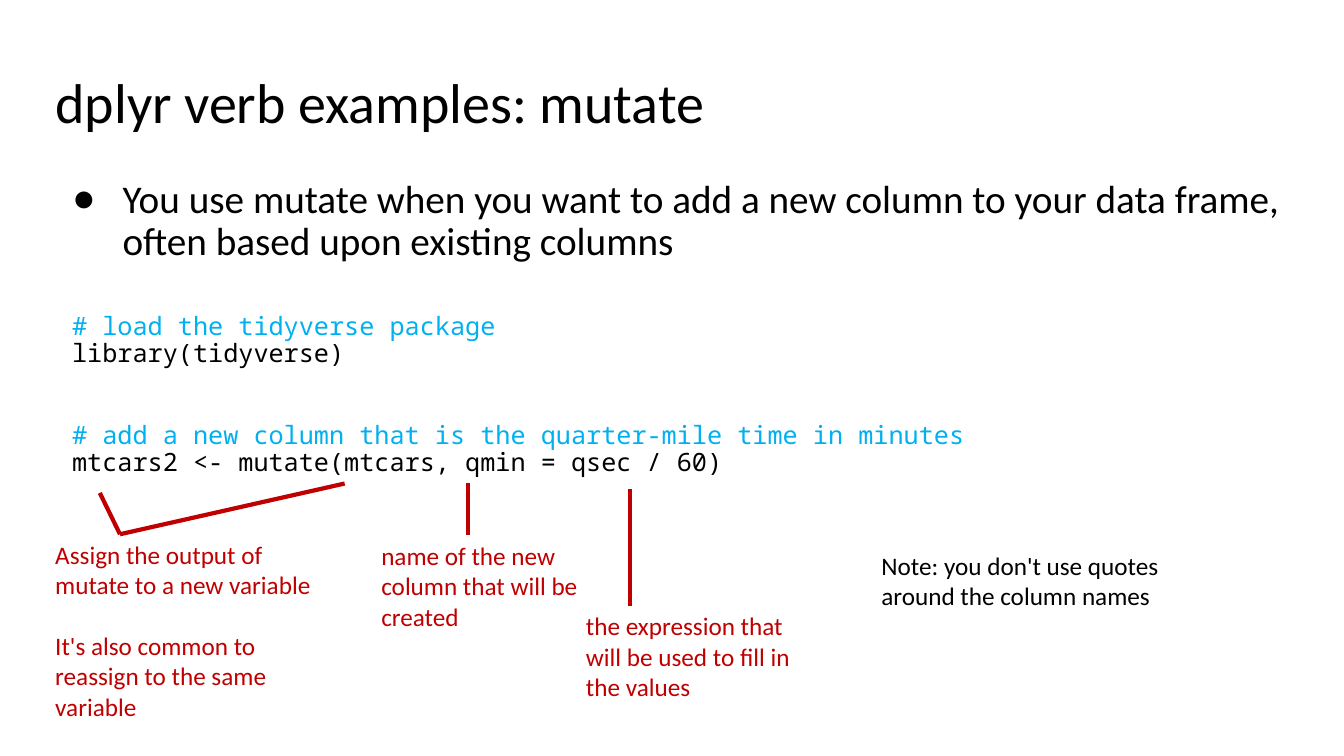
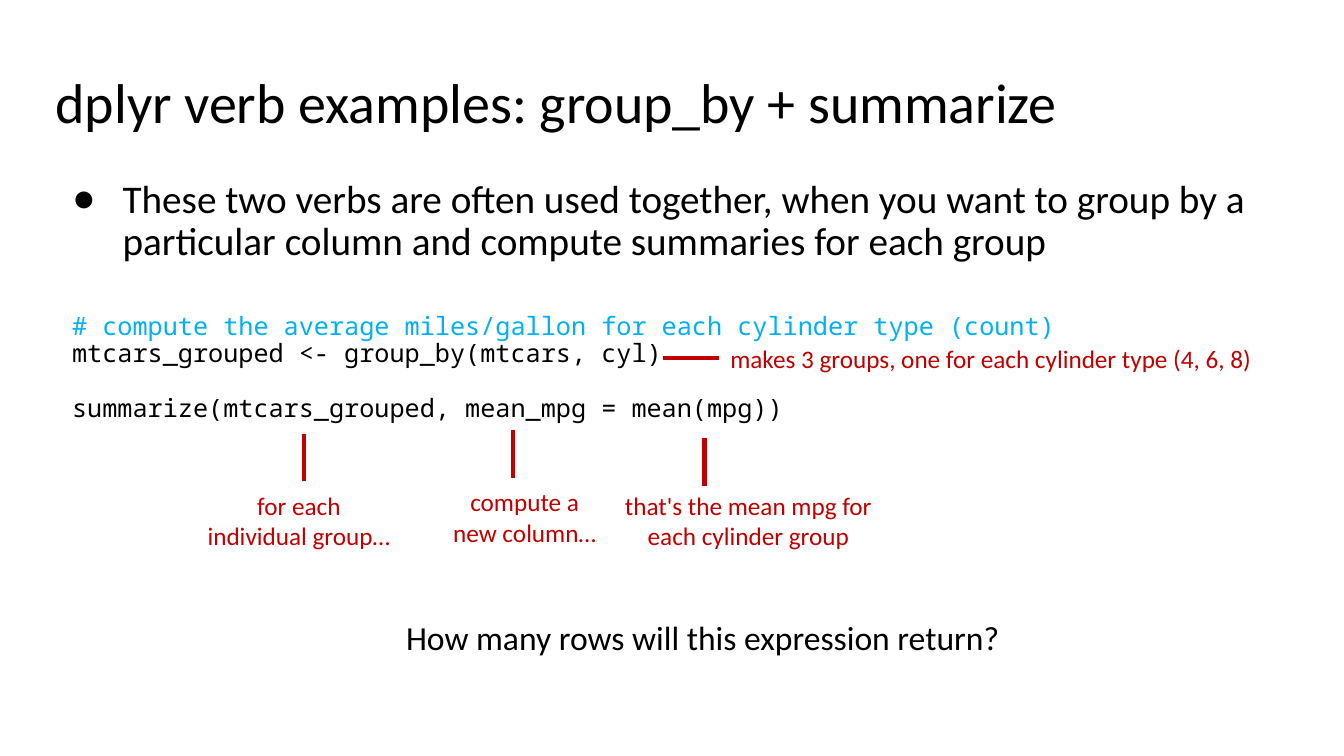
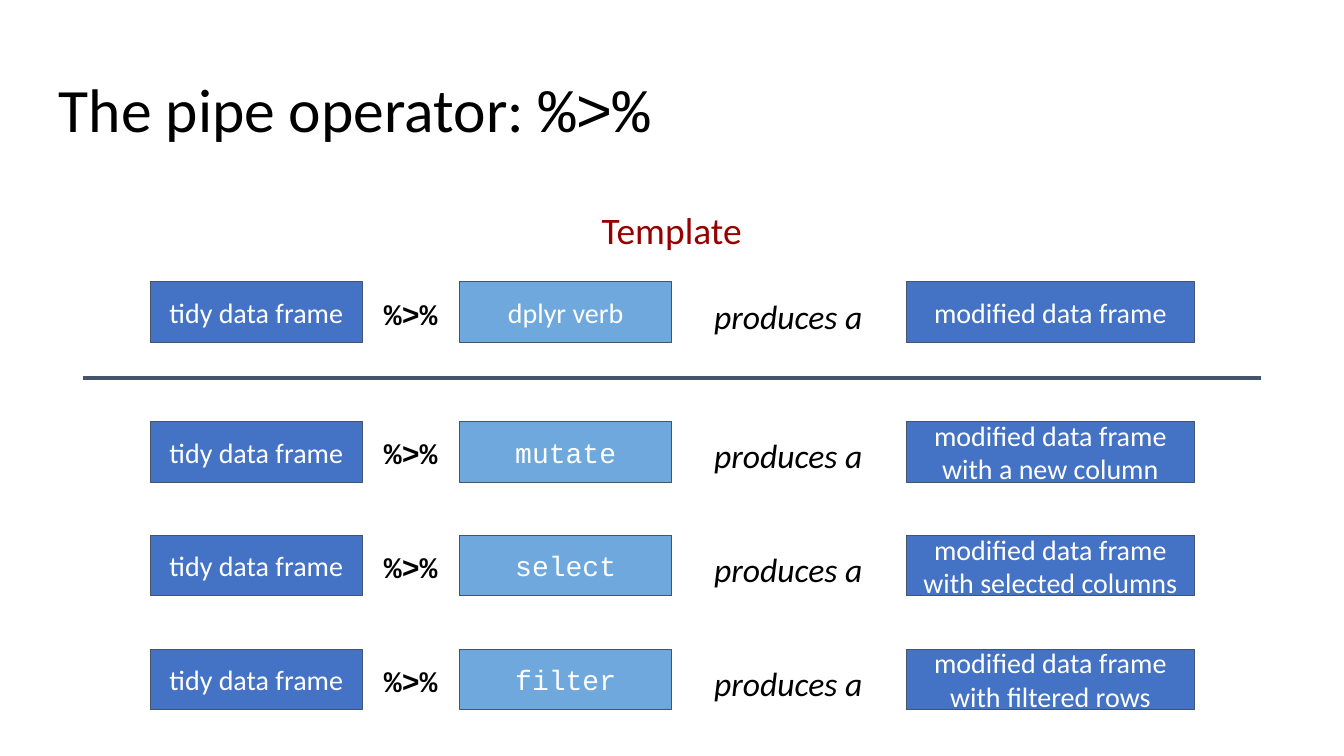
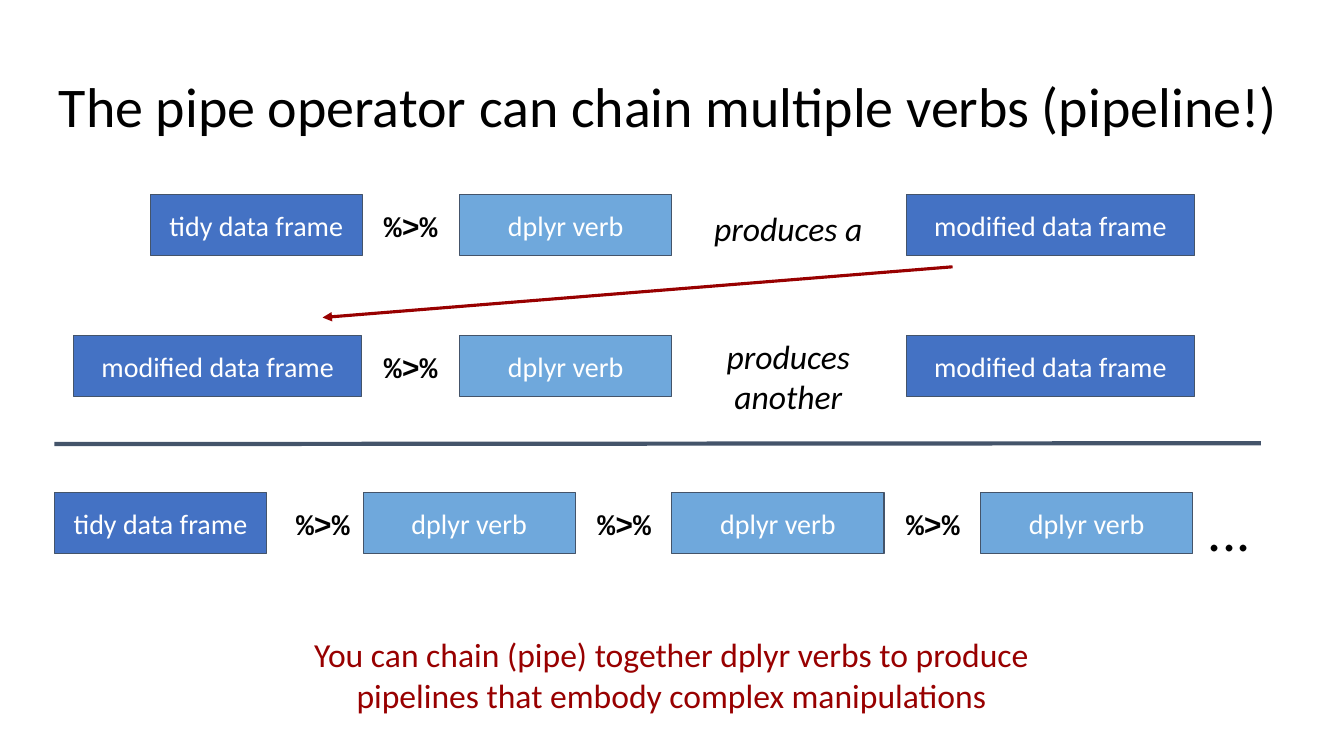
"""Build four slides on dplyr verbs and the pipe operator."""
from dataclasses import dataclass, replace

from lxml import etree
from pptx import Presentation
from pptx.dml.color import RGBColor
from pptx.enum.shapes import MSO_CONNECTOR, MSO_SHAPE
from pptx.enum.text import MSO_ANCHOR, MSO_AUTO_SIZE, PP_ALIGN
from pptx.oxml.ns import qn
from pptx.util import Pt

BLACK = RGBColor(0x00, 0x00, 0x00)
WHITE = RGBColor(0xFF, 0xFF, 0xFF)
CODE_BLUE = RGBColor(0x00, 0xB0, 0xF0)
CALLOUT_RED = RGBColor(0xC0, 0x00, 0x00)
DARK_RED = RGBColor(0x98, 0x00, 0x00)
FRAME_BLUE = RGBColor(0x44, 0x72, 0xC4)
VERB_BLUE = RGBColor(0x6F, 0xA8, 0xDC)
SLATE = RGBColor(0x44, 0x54, 0x6A)

LEFT, CENTER = PP_ALIGN.LEFT, PP_ALIGN.CENTER
TOP, MIDDLE = MSO_ANCHOR.TOP, MSO_ANCHOR.MIDDLE
NO_FIT, GROW = MSO_AUTO_SIZE.NONE, MSO_AUTO_SIZE.SHAPE_TO_FIT_TEXT
STRAIGHT, RECTANGLE = MSO_CONNECTOR.STRAIGHT, MSO_SHAPE.RECTANGLE

SANS, COURIER, CODE_FONT = "Calibri", "Courier New", "Noto Sans Mono"
TITLE_AND_BODY, TITLE_ONLY = 1, 5
MARGIN, CONTENT_WIDTH = 32.4, 894.3
INSET, WIDE_INSET = 7.2, 9.6
CODE_LINE = 19.5
PIPE = "%>%"

BOX_HEIGHT = 43.4
TIDY_LEFT, SHORT_WIDTH = 107.3, 151.6
PIPE_LEFT, PIPE_WIDTH = 258.5, 69.8
VERB_LEFT = 328.3
PRODUCES_LEFT, PRODUCES_WIDTH = 499.7, 126.7
RESULT_LEFT, RESULT_WIDTH = 647.3, 206


@dataclass(frozen=True)
class Area:
    """A rectangle in points."""
    left: float
    top: float
    width: float
    height: float


@dataclass(frozen=True)
class Style:
    """The look of a piece of text."""
    size: float
    color: RGBColor = BLACK
    font: str = SANS
    align: PP_ALIGN = LEFT
    bold: bool = False
    italic: bool = False
    line_spacing: float = 1.0
    space_before: float = 0


@dataclass(frozen=True)
class Callout:
    """A short remark that grows with its text."""
    text: str
    area: Area
    style: Style


@dataclass(frozen=True)
class Line:
    """A straight line between two points."""
    start: tuple[float, float]
    end: tuple[float, float]
    color: RGBColor = CALLOUT_RED
    width: float = 3
    arrow: bool = False


@dataclass(frozen=True)
class CodeLine:
    """A line of code and the number of empty lines above it."""
    text: str
    gap: int = 0


@dataclass(frozen=True)
class PipeRow:
    """One piped expression and its result."""
    top: float
    verb: str
    result: str
    verb_font: str = SANS
    source: str = "tidy data frame"
    source_left: float = TIDY_LEFT
    source_width: float = SHORT_WIDTH
    produces: str = "produces a"
    produces_shift: float = 0


TITLE = Style(40, line_spacing=0.9)
BODY = Style(28, line_spacing=0.9)
CODE = Style(18, font=CODE_FONT, line_spacing=0.9)
REMARK = Style(18, CALLOUT_RED)
CENTERED_REMARK = replace(REMARK, align=CENTER)
BOX_TEXT = Style(20, WHITE, align=CENTER)
PIPE_TEXT = Style(21.3, font=COURIER, align=CENTER, bold=True)
PRODUCES_TEXT = Style(24, align=CENTER, italic=True)


def place(shape, area: Area) -> None:
    """Move and size a shape."""
    shape.left, shape.top = Pt(area.left), Pt(area.top)
    shape.width, shape.height = Pt(area.width), Pt(area.height)


def format_paragraph(paragraph, style: Style) -> None:
    """Apply a style to a paragraph and its runs."""
    paragraph.alignment = style.align
    paragraph.line_spacing = style.line_spacing
    paragraph.space_before = Pt(style.space_before)
    paragraph.space_after = Pt(0)
    for run in paragraph.runs:
        font = run.font
        font.name, font.size = style.font, Pt(style.size)
        font.bold, font.italic = style.bold, style.italic
        font.color.rgb = style.color


def write(shape, text: str, style: Style, inset: float, anchor=TOP, fit=NO_FIT, vertical_inset=None) -> None:
    """Fill a shape with styled text."""
    frame = shape.text_frame
    frame.text = text
    frame.word_wrap, frame.auto_size, frame.vertical_anchor = True, fit, anchor
    frame.margin_left = frame.margin_right = Pt(inset)
    frame.margin_top = frame.margin_bottom = Pt(inset if vertical_inset is None else vertical_inset)
    for paragraph in frame.paragraphs:
        format_paragraph(paragraph, style)


def set_indent(paragraph, margin: float, indent: float) -> None:
    """Set the left margin and first-line indent of a paragraph."""
    properties = paragraph._p.get_or_add_pPr()
    properties.set("marL", str(int(Pt(margin))))
    properties.set("indent", str(int(Pt(indent))))


def add_title_slide(presentation, layout: int, title: str, inset: float, style: Style = TITLE,
                    width: float = CONTENT_WIDTH):
    """Add a slide with its title set."""
    slide = presentation.slides.add_slide(presentation.slide_layouts[layout])
    shape = slide.shapes.title
    place(shape, Area(MARGIN, 46.8, width, 60.5))
    write(shape, title, style, inset)
    return slide


def fill_body(slide, text: str) -> None:
    """Write the bulleted introduction."""
    body = slide.placeholders[1]
    place(body, Area(MARGIN, 121, CONTENT_WIDTH, 82.1))
    write(body, text, BODY, INSET)
    paragraph = body.text_frame.paragraphs[0]
    set_indent(paragraph, 48, -36)
    bullet = etree.SubElement(paragraph._p.get_or_add_pPr(), qn("a:buChar"))
    bullet.set("char", "●")


def add_text(slide, text: str, area: Area, style: Style, inset: float = WIDE_INSET) -> None:
    """Add a text box of fixed size."""
    shape = slide.shapes.add_textbox(Pt(area.left), Pt(area.top), Pt(area.width), Pt(area.height))
    write(shape, text, style, inset)


def add_callout(slide, callout: Callout) -> None:
    """Add a remark."""
    area = callout.area
    shape = slide.shapes.add_textbox(Pt(area.left), Pt(area.top), Pt(area.width), Pt(area.height))
    write(shape, callout.text, callout.style, INSET, fit=GROW, vertical_inset=3.6)
    for paragraph in shape.text_frame.paragraphs[1:]:
        paragraph.space_before = Pt(22)


def add_code(slide, lines: list[CodeLine], height: float) -> None:
    """Add a code listing with coloured comments."""
    shape = slide.shapes.add_textbox(Pt(MARGIN), Pt(216.7), Pt(CONTENT_WIDTH), Pt(height))
    write(shape, "\n".join(line.text for line in lines), CODE, INSET)
    for paragraph, line in zip(shape.text_frame.paragraphs, lines):
        color = CODE_BLUE if line.text.startswith("#") else BLACK
        format_paragraph(paragraph, replace(CODE, color=color, space_before=line.gap * CODE_LINE))
        set_indent(paragraph, 12, 0)


def add_line(slide, line: Line) -> None:
    """Add a straight line, with an arrowhead if asked."""
    ends = [Pt(value) for value in (*line.start, *line.end)]
    connector = slide.shapes.add_connector(STRAIGHT, *ends)
    connector.line.color.rgb = line.color
    connector.line.width = Pt(line.width)
    if line.arrow:
        etree.SubElement(connector.line._get_or_add_ln(), qn("a:tailEnd")).set("type", "triangle")
    etree.SubElement(connector._element.spPr, qn("a:effectLst"))


def add_box(slide, text: str, area: Area, fill: RGBColor, font: str = SANS) -> None:
    """Add a filled box with a centred label."""
    shape = slide.shapes.add_shape(RECTANGLE, Pt(area.left), Pt(area.top), Pt(area.width), Pt(area.height))
    shape.shadow.inherit = False
    shape.fill.solid()
    shape.fill.fore_color.rgb = fill
    shape.line.color.rgb = SLATE
    shape.line.width = Pt(0.75)
    write(shape, text, replace(BOX_TEXT, font=font), WIDE_INSET, MIDDLE)


def add_pipe(slide, left: float, top: float) -> None:
    """Add a pipe operator."""
    add_text(slide, PIPE, Area(left, top, PIPE_WIDTH, BOX_HEIGHT), PIPE_TEXT)


def add_pipe_row(slide, row: PipeRow) -> None:
    """Add a source, a pipe, a verb and the result."""
    add_box(slide, row.source, Area(row.source_left, row.top, row.source_width, BOX_HEIGHT), FRAME_BLUE)
    add_pipe(slide, PIPE_LEFT, row.top)
    add_box(slide, row.verb, Area(VERB_LEFT, row.top, SHORT_WIDTH, BOX_HEIGHT), VERB_BLUE, row.verb_font)
    produces_area = Area(PRODUCES_LEFT, row.top + row.produces_shift, PRODUCES_WIDTH, BOX_HEIGHT)
    add_text(slide, row.produces, produces_area, PRODUCES_TEXT)
    add_box(slide, row.result, Area(RESULT_LEFT, row.top, RESULT_WIDTH, BOX_HEIGHT), FRAME_BLUE)


def add_code_slide(presentation, title: str, introduction: str, code: list[CodeLine], code_height: float,
                   callouts: list[Callout], lines: list[Line]) -> None:
    """Add a slide that explains a piece of code."""
    slide = add_title_slide(presentation, TITLE_AND_BODY, title, INSET)
    fill_body(slide, introduction)
    add_code(slide, code, code_height)
    for callout in callouts:
        add_callout(slide, callout)
    for line in lines:
        add_line(slide, line)


def add_mutate_slide(presentation) -> None:
    """Add the mutate example."""
    corner = (85.7, 381.6)
    add_code_slide(
        presentation,
        "dplyr verb examples: mutate",
        "You use mutate when you want to add a new column to your data frame, "
        "often based upon existing columns",
        [
            CodeLine("# load the tidyverse package"),
            CodeLine("library(tidyverse)"),
            CodeLine("# add a new column that is the quarter-mile time in minutes", gap=2),
            CodeLine("mtcars2 <- mutate(mtcars, qmin = qsec / 60)"),
        ],
        180,
        [
            Callout("Assign the output of mutate to a new variable\n"
                    "It's also common to reassign to the same variable",
                    Area(MARGIN, 381.6, 213.8, 138.2), REMARK),
            Callout("name of the new column that will be created",
                    Area(265.3, 382.5, 160.6, 72.7), REMARK),
            Callout("the expression that will be used to fill in the values",
                    Area(411.5, 432.7, 160.6, 72.7), REMARK),
            Callout("Note: you don't use quotes around the column names",
                    Area(622.5, 389.5, 221.8, 51.1), replace(REMARK, color=BLACK)),
        ],
        [
            Line(corner, (71.3, 352.1)),
            Line(corner, (246.2, 345.4)),
            Line((334.1, 382.5), (334.1, 345)),
            Line((450, 432.7), (450, 349.2)),
        ],
    )


def add_summarize_slide(presentation) -> None:
    """Add the group_by and summarize example."""
    add_code_slide(
        presentation,
        "dplyr verb examples: group_by + summarize",
        "These two verbs are often used together, when you want to group by a "
        "particular column and compute summaries for each group",
        [
            CodeLine("# compute the average miles/gallon for each cylinder type (count)"),
            CodeLine("mtcars_grouped <- group_by(mtcars, cyl)"),
            CodeLine("summarize(mtcars_grouped, mean_mpg = mean(mpg))", gap=1),
        ],
        193,
        [
            Callout("makes 3 groups, one for each cylinder type (4, 6, 8)",
                    Area(504, 241.4, 407.5, 29), CENTERED_REMARK),
            Callout("for each individual group…", Area(139.7, 346.5, 147.6, 51), CENTERED_REMARK),
            Callout("compute a new column…", Area(313.9, 344, 121.7, 51), CENTERED_REMARK),
            Callout("that's the mean mpg for each cylinder group",
                    Area(438.5, 346.5, 192.2, 51), CENTERED_REMARK),
            Callout("How many rows will this expression return?",
                    Area(283, 437, 448, 36.4), Style(24)),
        ],
        [
            Line((513.4, 255.6), (473.8, 255.6)),
            Line((217.4, 343.8), (217.4, 309.8)),
            Line((366.5, 341.3), (366.5, 307.3)),
            Line((503.3, 347), (503.3, 313)),
        ],
    )


def add_pipe_slide(presentation) -> None:
    """Add the pipe template and its three uses."""
    style = replace(TITLE, size=44)
    slide = add_title_slide(presentation, TITLE_ONLY, "The pipe operator: ", WIDE_INSET, style)
    paragraph = slide.shapes.title.text_frame.paragraphs[0]
    paragraph.add_run().text = PIPE
    format_paragraph(paragraph, style)
    paragraph.runs[1].font.name = COURIER

    add_text(slide, "Template", Area(401.8, 138.2, 156.2, 48.2), Style(26.7, DARK_RED, align=CENTER))
    add_pipe_row(slide, PipeRow(201.4, "dplyr verb", "modified data frame"))
    add_line(slide, Line((59.5, 270), (900.6, 270), SLATE))
    uses = [("mutate", "a new column"), ("select", "selected columns"), ("filter", "filtered rows")]
    for index, (verb, change) in enumerate(uses):
        add_pipe_row(slide, PipeRow(301 + 81.3 * index, verb, f"modified data frame with {change}", COURIER))


def add_pipeline_slide(presentation) -> None:
    """Add the chain of several verbs."""
    slide = add_title_slide(presentation, TITLE_ONLY, "The pipe operator can chain multiple verbs (pipeline!)",
                            WIDE_INSET, width=906.5)
    result = "modified data frame"
    add_pipe_row(slide, PipeRow(139, "dplyr verb", result))
    add_pipe_row(slide, PipeRow(239.8, "dplyr verb", result, source=result,
                                source_left=PIPE_LEFT - RESULT_WIDTH, source_width=RESULT_WIDTH,
                                produces="produces another", produces_shift=-9.4))
    add_line(slide, Line((38.9, 317.2), (900.6, 316.6), SLATE))
    add_line(slide, Line((680.4, 190.6), (230.4, 226.8), DARK_RED, 2.25, arrow=True))

    chain_top, chain_left, verb_step = 351.9, 38.9, 220.5
    add_box(slide, "tidy data frame", Area(chain_left, chain_top, SHORT_WIDTH, BOX_HEIGHT), FRAME_BLUE)
    for index, pipe_left in enumerate((195.8, 411, 631.5)):
        verb_left = chain_left + verb_step * (index + 1)
        add_pipe(slide, pipe_left, chain_top)
        add_box(slide, "dplyr verb", Area(verb_left, chain_top, SHORT_WIDTH, BOX_HEIGHT), VERB_BLUE)
    add_text(slide, "...", Area(853.2, 344.2, 56.2, BOX_HEIGHT), Style(40))
    add_text(slide, "You can chain (pipe) together dplyr verbs to produce pipelines that embody complex manipulations",
             Area(188, 443.5, 583.2, 80.6), Style(24, DARK_RED, align=CENTER))


def main() -> None:
    """Build and save the presentation."""
    presentation = Presentation()
    presentation.slide_width, presentation.slide_height = Pt(960), Pt(540)
    add_mutate_slide(presentation)
    add_summarize_slide(presentation)
    add_pipe_slide(presentation)
    add_pipeline_slide(presentation)
    presentation.save("out.pptx")


if __name__ == "__main__":
    main()
